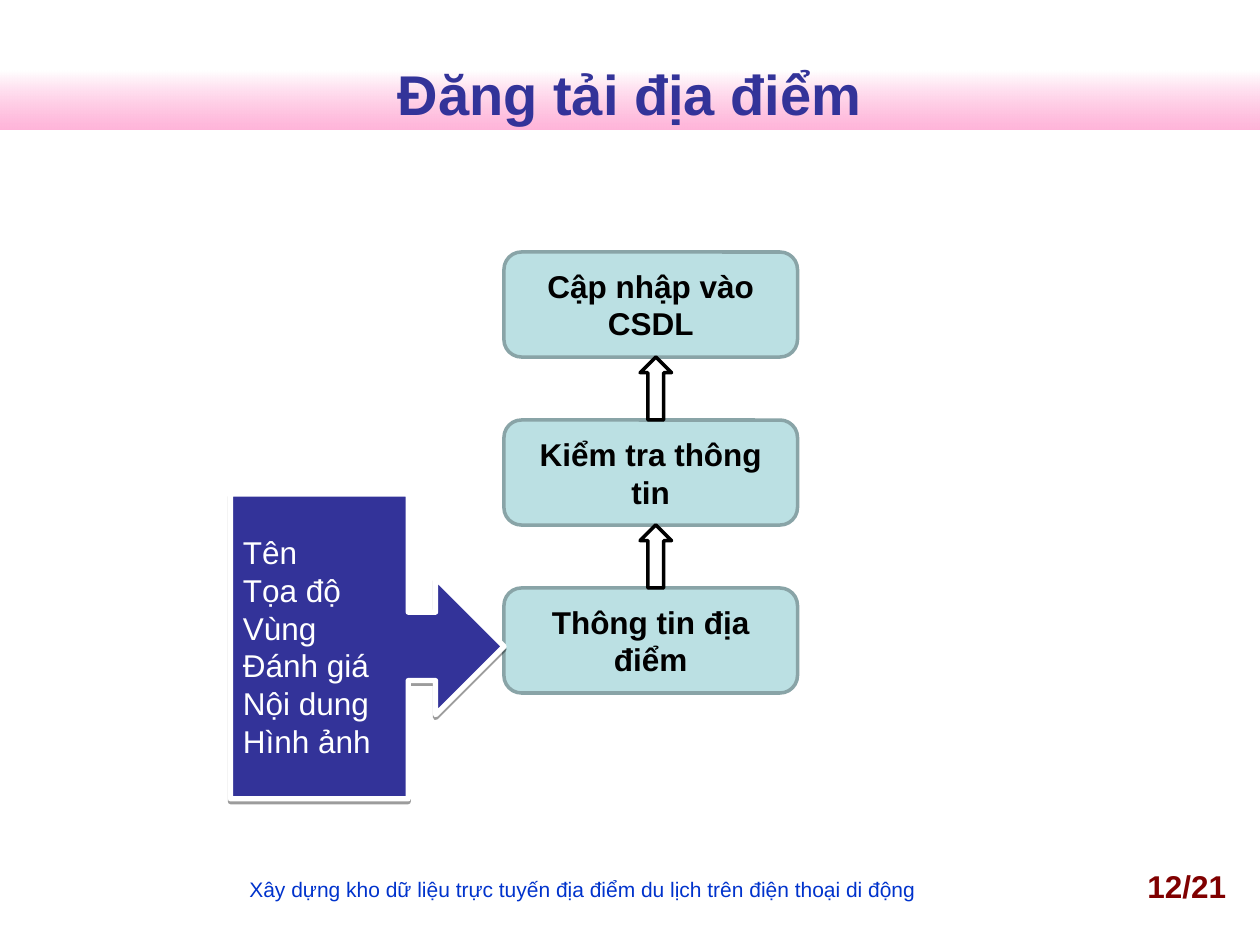
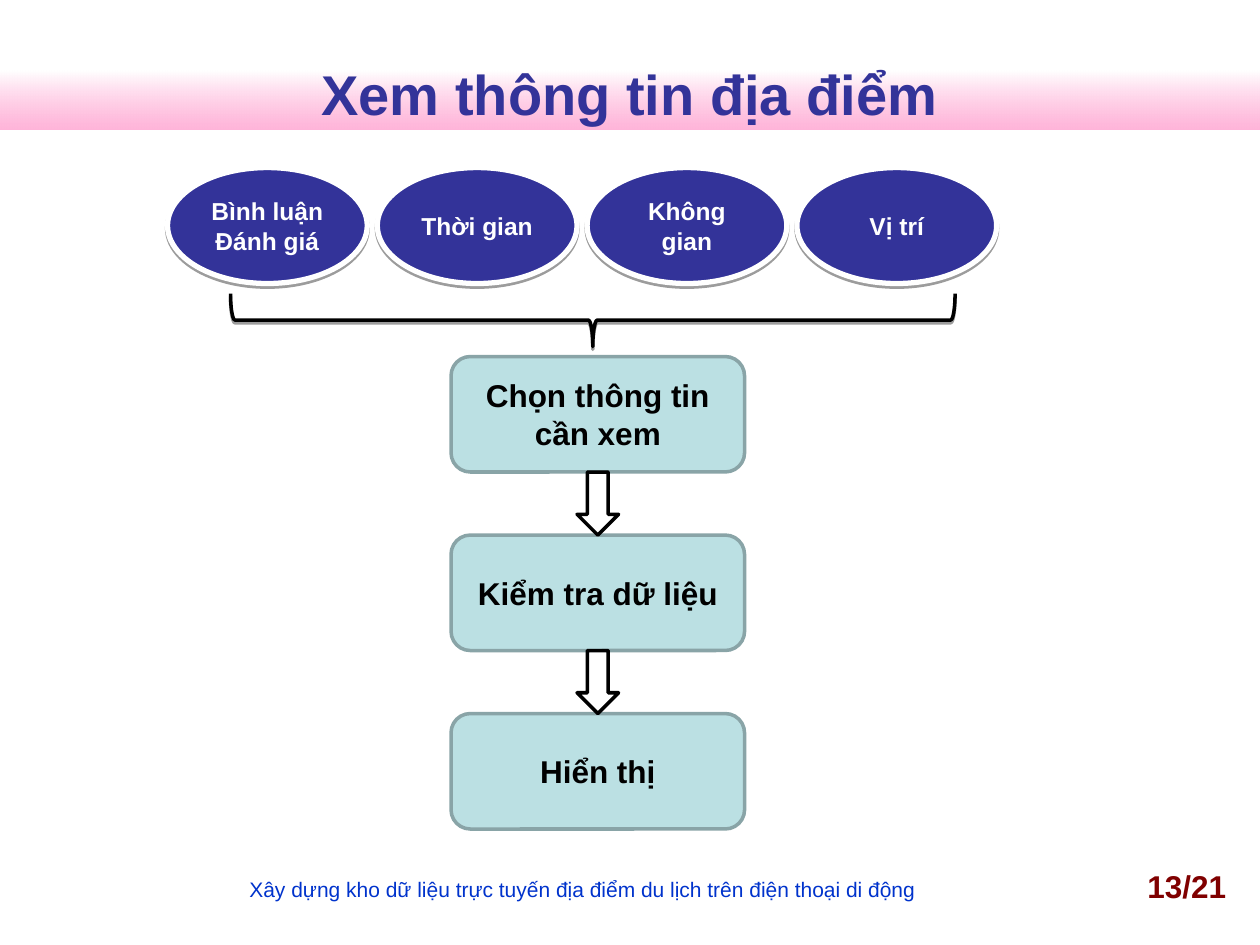
from lxml import etree
from pptx import Presentation
from pptx.dml.color import RGBColor
from pptx.enum.shapes import MSO_SHAPE as SHAPE
from pptx.enum.text import MSO_ANCHOR as ANCHOR, PP_ALIGN as ALIGN
from pptx.oxml.ns import qn
from pptx.util import Inches, Pt

COLORS = {
    "white": "FFFFFF", "black": "000000", "pink": "FF99CC", "navy": "333399",
    "footer": "0033CC", "number": "800000", "box": "BBE0E3", "edge": "89A4A7",
}
TITLE = {"size": Pt(32), "bold": True, "color": "navy"}
FOOTER = {"size": Pt(12), "bold": False, "color": "footer"}
NUMBER = {"size": Pt(18), "bold": True, "color": "number"}
STEP = {"size": Pt(18), "bold": True, "color": "black"}
FIELD = {"size": Pt(18), "bold": False, "color": "white"}
TOPIC = {"size": Pt(14), "bold": True, "color": "white"}

FOOTER_TEXT = "Xây dựng kho dữ liệu trực tuyến địa điểm du lịch trên điện thoại di động"
TOTAL = 21


def rgb(name):
    return RGBColor.from_string(COLORS[name])


def write(s, lines, style, align=ALIGN.CENTER, anchor=ANCHOR.MIDDLE):
    tf = s.text_frame
    tf.word_wrap = True
    tf.vertical_anchor = anchor
    for i, line in enumerate(lines):
        p = tf.paragraphs[0] if i == 0 else tf.add_paragraph()
        p.alignment = align
        r = p.add_run()
        r.text = line
        r.font.name = "Arial"
        r.font.color.rgb = rgb(style["color"])
        for key in ("size", "bold"):
            setattr(r.font, key, style[key])


def add_text(slide, box, text, style, **layout):
    s = slide.shapes.add_textbox(*map(Inches, box))
    write(s, [text], style, **layout)


def add_shape(slide, kind, box, fill, line, width):
    s = slide.shapes.add_shape(kind, *map(Inches, box))
    s.shadow.inherit = False
    if fill:
        s.fill.solid()
        s.fill.fore_color.rgb = rgb(fill)
    else:
        s.fill.background()
    s.line.color.rgb = rgb(line)
    s.line.width = Pt(width)
    return s


def add_alpha(color, percent):
    etree.SubElement(color, qn("a:alpha"), val=str(percent * 1000))


def drop_shadow(s):
    effects = s._element.spPr.find(qn("a:effectLst"))
    shadow = etree.SubElement(effects, qn("a:outerShdw"), blurRad="0",
                              dist=str(Pt(1.6)), dir="5400000", rotWithShape="0")
    add_alpha(etree.SubElement(shadow, qn("a:srgbClr"), val=COLORS["black"]), 38)


# Band, title, footer and page number
def add_frame(prs, title, number):
    slide = prs.slides.add_slide(prs.slide_layouts[6])
    band = add_shape(slide, SHAPE.RECTANGLE, (0, 0.56, 10, 0.47), None, "white", 1)
    band.line.fill.background()
    band.fill.gradient()
    band.fill.gradient_angle = 270
    for stop, name, position in zip(band.fill.gradient_stops, ("white", "pink"), (0, 1)):
        stop.color.rgb = rgb(name)
        stop.position = position
    add_alpha(band._element.spPr.findall(".//" + qn("a:srgbClr"))[-1], 72)

    add_text(slide, (0.5, 0.28, 9, 0.92), title, TITLE)
    add_text(slide, (0.5, 6.91, 8.25, 0.34), FOOTER_TEXT, FOOTER, anchor=ANCHOR.TOP)
    add_text(slide, (8.83, 6.83, 1, 0.42), f"{number}/{TOTAL}", NUMBER,
             align=ALIGN.RIGHT, anchor=ANCHOR.TOP)
    return slide


# Column of step boxes with block arrows filling the gaps
def add_steps(slide, box, steps, gap, arrow, arrow_width, shift=0):
    x, y, w, h = box
    step_h = (h - gap * (len(steps) - 1)) / len(steps)
    tops = [y + i * (step_h + gap) for i in range(len(steps))]
    for top, text in zip(tops, steps):
        s = add_shape(slide, SHAPE.ROUNDED_RECTANGLE, (x, top, w, step_h), "box", "edge", 2)
        write(s, [text], STEP)
    for top in tops[:-1]:
        arrow_x = x + (w - arrow_width) / 2 + shift
        add_shape(slide, arrow, (arrow_x, top + step_h, arrow_width, gap),
                  "white", "black", 2)


# Callout listing the fields of a place
def add_fields(slide, box, fields):
    s = add_shape(slide, SHAPE.RIGHT_ARROW_CALLOUT, box, "navy", "white", 3)
    drop_shadow(s)
    write(s, fields, FIELD, align=ALIGN.LEFT)


# Row of topic ellipses
def add_topics(slide, box, topics, gap):
    x, y, w, h = box
    topic_w = (w - gap * (len(topics) - 1)) / len(topics)
    for i, lines in enumerate(topics):
        s = add_shape(slide, SHAPE.OVAL, (x + i * (topic_w + gap), y, topic_w, h),
                      "navy", "white", 3)
        drop_shadow(s)
        write(s, lines, TOPIC)


# Horizontal brace pointing down, turned inside its visible box
def add_brace(slide, box):
    x, y, w, h = box
    s = add_shape(slide, SHAPE.LEFT_BRACE,
                  (x + (w - h) / 2, y + (h - w) / 2, h, w), None, "black", 2)
    s.rotation = 270
    drop_shadow(s)


def build_upload(prs):
    slide = add_frame(prs, "Đăng tải địa điểm", 12)
    add_steps(slide, (4, 2, 2.33, 3.5),
              ["Cập nhập vào CSDL", "Kiểm tra thông tin", "Thông tin địa điểm"],
              gap=0.5, arrow=SHAPE.UP_ARROW, arrow_width=0.25, shift=0.04)
    add_fields(slide, (1.83, 3.92, 2.17, 2.42),
               ["Tên", "Tọa độ", "Vùng", "Đánh giá", "Nội dung", "Hình ảnh"])


def build_view(prs):
    slide = add_frame(prs, "Xem thông tin địa điểm", 13)
    add_topics(slide, (1.33, 1.33, 6.58, 0.92),
               [["Bình luận", "Đánh giá"], ["Thời gian"], ["Không gian"], ["Vị trí"]],
               gap=0.08)
    add_brace(slide, (1.83, 2.33, 5.75, 0.42))
    add_steps(slide, (3.58, 2.83, 2.33, 3.75),
              ["Chọn thông tin cần xem", "Kiểm tra dữ liệu", "Hiển thị"],
              gap=0.5, arrow=SHAPE.DOWN_ARROW, arrow_width=0.33)


def main():
    prs = Presentation()
    prs.slide_width, prs.slide_height = Inches(10), Inches(7.5)
    build_upload(prs)
    build_view(prs)
    prs.save("out.pptx")


if __name__ == "__main__":
    main()
